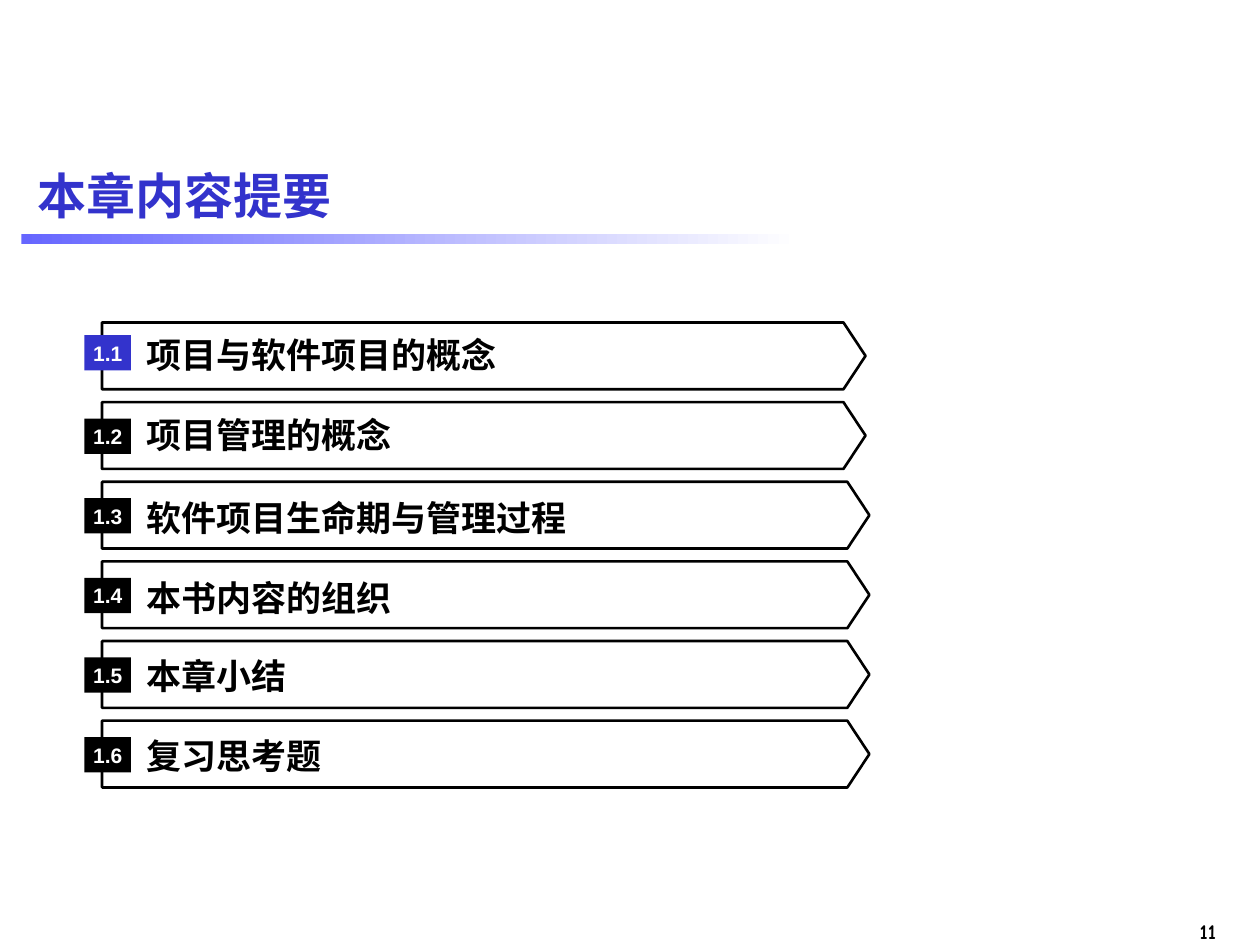
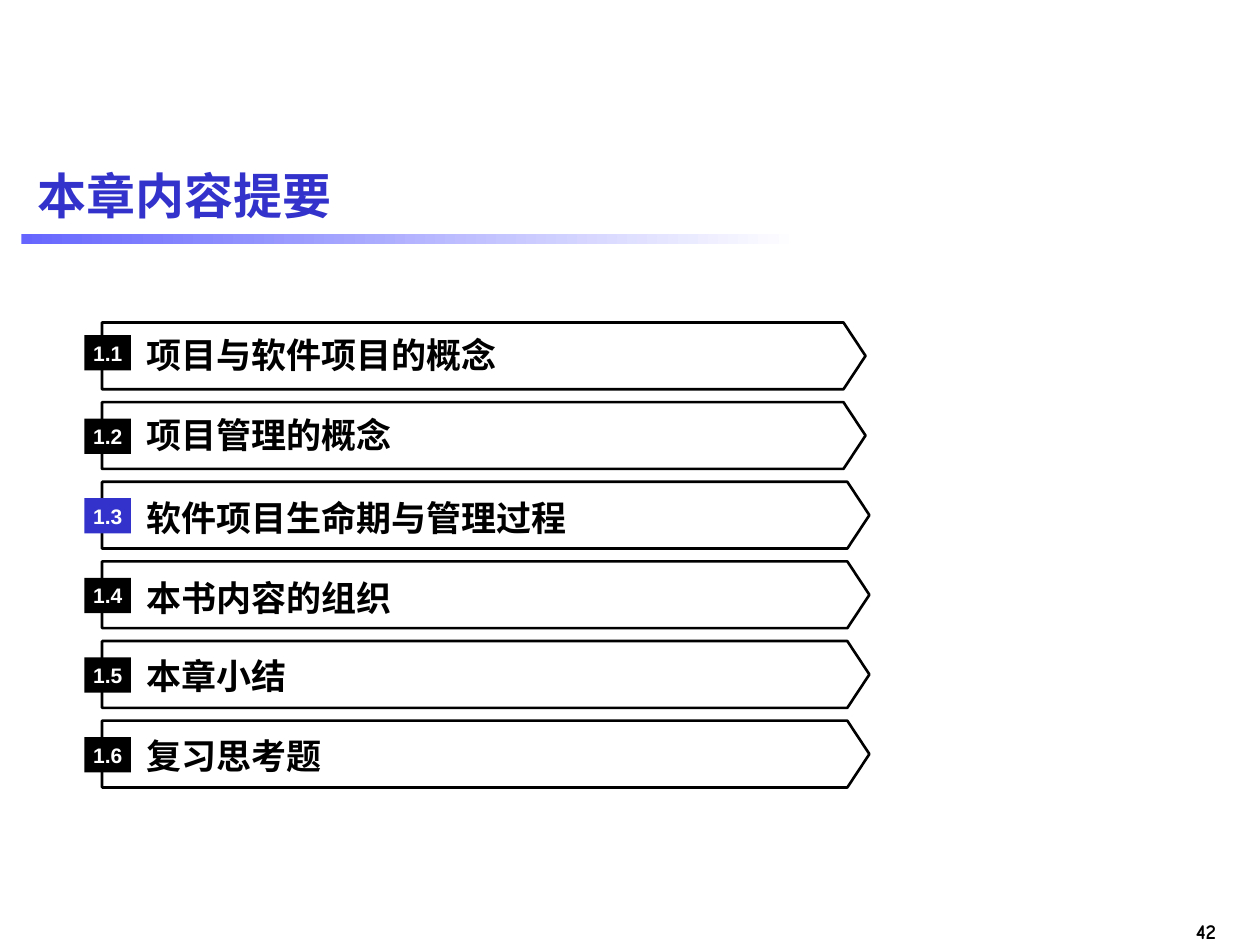
from pptx import Presentation
from pptx.dml.color import RGBColor
from pptx.enum.shapes import MSO_SHAPE
from pptx.enum.text import MSO_ANCHOR, PP_ALIGN
from pptx.util import Inches, Pt

HEADING = "本章内容提要"
SECTIONS = [
    {"name": "项目与软件项目的概念", "arrow_width": 6.06, "name_drop": 0.04, "badge_drop": 0.10},
    {"name": "项目管理的概念", "arrow_width": 6.06, "name_drop": 0.04, "badge_drop": 0.13},
    {"name": "软件项目生命期与管理过程", "arrow_width": 6.09, "name_drop": 0.07, "badge_drop": 0.13},
    {"name": "本书内容的组织", "arrow_width": 6.09, "name_drop": 0.07, "badge_drop": 0.13},
    {"name": "本章小结", "arrow_width": 6.09, "name_drop": 0.06, "badge_drop": 0.13},
    {"name": "复习思考题", "arrow_width": 6.09, "name_drop": 0.06, "badge_drop": 0.13},
]
AGENDAS = [
    {"page": "11", "current": 1},
    {"page": "42", "current": 3},
]

CHAPTER = 1
FIRST_TOP = 2.56
LAST_TOP = 5.72
ROW_STEP = (LAST_TOP - FIRST_TOP) / (len(SECTIONS) - 1)

ACCENT = RGBColor(0x33, 0x33, 0xCC)
BAND = RGBColor(0x66, 0x66, 0xFF)
BLACK = RGBColor(0, 0, 0)
WHITE = RGBColor(0xFF, 0xFF, 0xFF)


def box(left, top, width, height):
    return [Inches(length) for length in (left, top, width, height)]


def write(shape, text, font, size, color, align=PP_ALIGN.LEFT, anchor=MSO_ANCHOR.MIDDLE, insets=None):
    frame = shape.text_frame
    frame.word_wrap = True
    frame.vertical_anchor = anchor
    if insets:
        frame.margin_left, frame.margin_top, frame.margin_right, frame.margin_bottom = box(*insets)
    frame.text = text
    paragraph = frame.paragraphs[0]
    paragraph.alignment = align
    for run in paragraph.runs:
        run.font.name = font
        run.font.size = Pt(size)
        run.font.bold = True
        run.font.color.rgb = color


def add_frame(slide, page):
    title = slide.shapes.title
    title.left, title.top, title.width, title.height = box(0.2, 1.15, 9.61, 0.79)
    write(title, HEADING, "Arial", 28, ACCENT)

    band = slide.shapes.add_shape(MSO_SHAPE.RECTANGLE, *box(0.17, 1.86, 6.17, 0.08))
    band.shadow.inherit = False
    band.line.fill.background()
    band.fill.gradient()
    band.fill.gradient_angle = 0
    for stop, color in zip(band.fill.gradient_stops, (BAND, WHITE)):
        stop.color.rgb = color

    page_number = slide.shapes.add_textbox(*box(9.2, 7.24, 0.55, 0.3))
    write(page_number, page, "Comic Neue", 12, BLACK, PP_ALIGN.RIGHT, MSO_ANCHOR.TOP)


def add_section(slide, number, section, badge_color):
    top = FIRST_TOP + (number - 1) * ROW_STEP
    row = slide.shapes.add_group_shape().shapes

    arrow = row.add_shape(MSO_SHAPE.PENTAGON, *box(0.81, top, section["arrow_width"], 0.53))
    arrow.adjustments[0] = 0.33
    arrow.shadow.inherit = False
    arrow.fill.background()
    arrow.line.color.rgb = BLACK
    arrow.line.width = Pt(1.5)

    name = row.add_textbox(*box(1.09, top + section["name_drop"], 5.4, 0.4))
    write(name, section["name"], "Times New Roman", 20, BLACK, insets=(0.07, 0.03, 0, 0))

    badge = row.add_shape(MSO_SHAPE.RECTANGLE, *box(0.67, top + section["badge_drop"], 0.37, 0.28))
    badge.shadow.inherit = False
    badge.fill.solid()
    badge.fill.fore_color.rgb = badge_color
    badge.line.fill.background()
    write(badge, f"{CHAPTER}.{number}", "Arial", 12, WHITE, PP_ALIGN.CENTER, insets=(0, 0, 0, 0))


def main():
    deck = Presentation()
    deck.slide_width, deck.slide_height = Inches(10), Inches(7.5)
    title_only = deck.slide_layouts[5]
    for agenda in AGENDAS:
        slide = deck.slides.add_slide(title_only)
        add_frame(slide, agenda["page"])
        for number, section in enumerate(SECTIONS, start=1):
            badge_color = ACCENT if number == agenda["current"] else BLACK
            add_section(slide, number, section, badge_color)
    deck.save("out.pptx")


if __name__ == "__main__":
    main()
